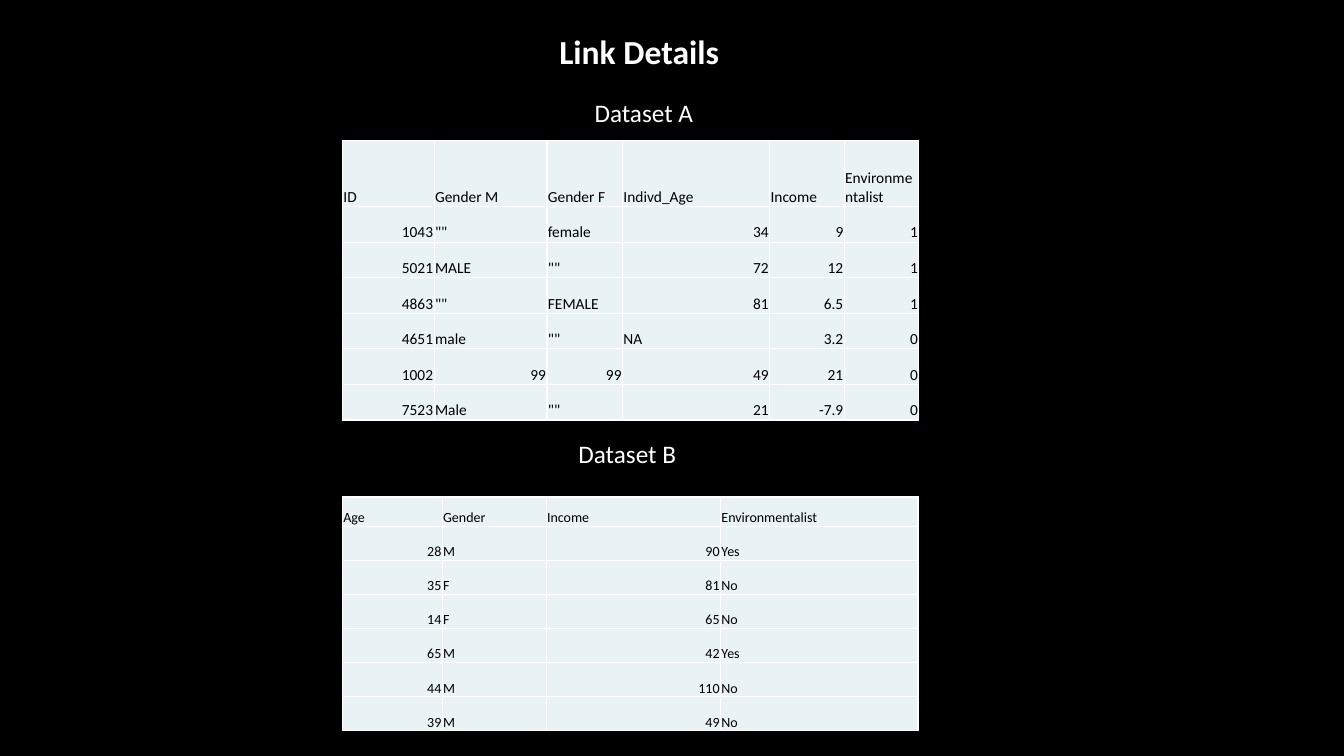
from lxml.etree import SubElement
from pptx import Presentation
from pptx.dml.color import RGBColor
from pptx.enum.text import MSO_ANCHOR, PP_ALIGN
from pptx.oxml.ns import qn
from pptx.util import Pt

COLOURS = {"background": "000000", "heading": "FFFFFF", "cell": "E9F2F4",
           "cell_text": "000000", "border": "FFFFFF"}
FONT = "Calibri"

# Content: headings, then the two datasets
HEADINGS = [
    {"text": "Link Details", "box": (392.4, 18.7, 137.5, 36), "size": 24, "bold": True},
    {"text": "Dataset A", "box": (417.6, 66.2, 87.8, 28.8), "size": 18, "bold": False},
    {"text": "Dataset B", "box": (406.1, 309.6, 87.8, 28.8), "size": 18, "bold": False},
]
DATASETS = [
    {"top": 100.4, "size": 11, "header_height": 47.2, "row_height": 25.4,
     "widths": [65.5, 80.6, 54, 105.1, 53.3, 53.3],
     "rows": [
         ("ID", "Gender M", "Gender F", "Indivd_Age", "Income", "Environmentalist"),
         ("1043", '""', "female", "34", "9", "1"),
         ("5021", "MALE", '""', "72", "12", "1"),
         ("4863", '""', "FEMALE", "81", "6.5", "1"),
         ("4651", "male", '""', "NA", "3.2", "0"),
         ("1002", "99", "99", "49", "21", "0"),
         ("7523", "Male", '""', "21", "-7.9", "0"),
     ]},
    {"top": 355, "size": 10, "header_height": 20.8, "row_height": 24.4,
     "widths": [71.3, 74.2, 124.6, 141.1],
     "rows": [
         ("Age", "Gender", "Income", "Environmentalist"),
         ("28", "M", "90", "Yes"),
         ("35", "F", "81", "No"),
         ("14", "F", "65", "No"),
         ("65", "M", "42", "Yes"),
         ("44", "M", "110", "No"),
         ("39", "M", "49", "No"),
     ]},
]
TABLE_LEFT = 244.6
CELL_INSET = 0.7


def write(frame, text, size, colour, bold=False, align=PP_ALIGN.LEFT):
    paragraph = frame.paragraphs[0]
    paragraph.alignment = align
    run = paragraph.add_run()
    run.text = text
    run.font.name, run.font.size, run.font.bold = FONT, Pt(size), bold
    run.font.color.rgb = RGBColor.from_string(COLOURS[colour])


def is_number(text):
    return text.lstrip("-").replace(".", "").isdigit()


def style_cell(cell):
    cell.vertical_anchor = MSO_ANCHOR.BOTTOM
    cell.margin_left = cell.margin_right = cell.margin_top = Pt(CELL_INSET)
    cell.margin_bottom = 0
    # Borders must come before the fill in the cell properties
    properties = cell._tc.get_or_add_tcPr()
    for side in ("a:lnL", "a:lnR", "a:lnT", "a:lnB"):
        border = SubElement(properties, qn(side), w=str(Pt(1)))
        SubElement(SubElement(border, qn("a:solidFill")), qn("a:srgbClr"),
                   val=COLOURS["border"])
    cell.fill.solid()
    cell.fill.fore_color.rgb = RGBColor.from_string(COLOURS["cell"])


def add_dataset(slide, dataset):
    rows, widths = dataset["rows"], dataset["widths"]
    heights = [dataset["header_height"]] + [dataset["row_height"]] * (len(rows) - 1)
    table = slide.shapes.add_table(
        len(rows), len(widths), Pt(TABLE_LEFT), Pt(dataset["top"]),
        Pt(sum(widths)), Pt(sum(heights))).table
    table.horz_banding = False
    table.first_row = False
    for column, width in zip(table.columns, widths):
        column.width = Pt(width)
    for row, height, values in zip(table.rows, heights, rows):
        row.height = Pt(height)
        for cell, value in zip(row.cells, values):
            style_cell(cell)
            write(cell.text_frame, value, dataset["size"], "cell_text",
                  align=PP_ALIGN.RIGHT if is_number(value) else PP_ALIGN.LEFT)


def main():
    deck = Presentation()
    deck.slide_width, deck.slide_height = Pt(960), Pt(540)
    slide = deck.slides.add_slide(deck.slide_layouts[6])
    slide.background.fill.solid()
    slide.background.fill.fore_color.rgb = RGBColor.from_string(COLOURS["background"])

    # Tables
    for dataset in DATASETS:
        add_dataset(slide, dataset)

    # Headings
    for heading in HEADINGS:
        frame = slide.shapes.add_textbox(*map(Pt, heading["box"])).text_frame
        frame.word_wrap = False
        write(frame, heading["text"], heading["size"], "heading", bold=heading["bold"])

    deck.save("out.pptx")


if __name__ == "__main__":
    main()
